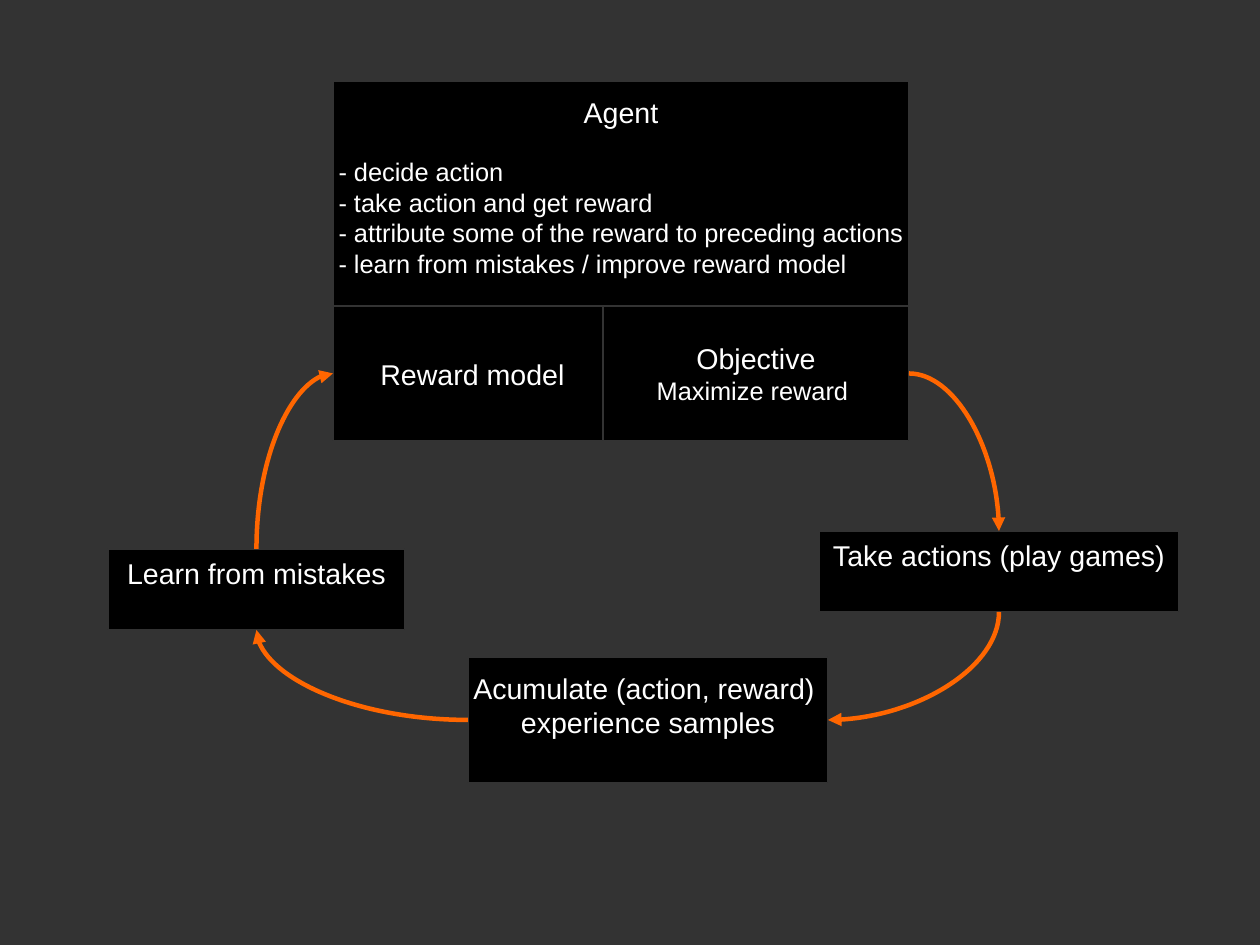
"""Build a slide showing the learning cycle of a reinforcement learning agent."""
import pptx
import pptx.dml.color
import pptx.enum.shapes
import pptx.enum.text
import pptx.oxml
import pptx.oxml.ns
import pptx.util

PX = 8000
PAGE_SIZE = (1260, 945)
FONT = "Arial"
BACKGROUND = pptx.dml.color.RGBColor(0x33, 0x33, 0x33)
BOX_FILL = pptx.dml.color.RGBColor(0x00, 0x00, 0x00)
TEXT_COLOR = pptx.dml.color.RGBColor(0xFF, 0xFF, 0xFF)
ARROW_COLOR = pptx.dml.color.RGBColor(0xFF, 0x66, 0x00)
TITLE_SIZE, DETAIL_SIZE = 18, 16
LIST_GAP = 27
ARROW_WIDTH = 2.83

CENTER = pptx.enum.text.PP_ALIGN.CENTER
LEFT = pptx.enum.text.PP_ALIGN.LEFT
TOP = pptx.enum.text.MSO_ANCHOR.TOP
MIDDLE = pptx.enum.text.MSO_ANCHOR.MIDDLE

# name: (left, top, width, height), anchor, top inset, title lines, detail lines, detail alignment
BOXES = {
    "agent": ((333, 81, 576, 261), TOP, 14, ["Agent"], [
        "- decide action",
        "- take action and get reward",
        "- attribute some of the reward to preceding actions",
        "- learn from mistakes / improve reward model",
    ], LEFT),
    "reward model": ((333, 306, 279, 135), MIDDLE, 6, ["Reward model"], [], CENTER),
    "objective": ((603, 306, 306, 135), MIDDLE, 6, ["Objective"], ["Maximize reward "], CENTER),
    "actions": ((819, 531, 360, 81), TOP, 7, ["Take actions (play games)"], [], CENTER),
    "learning": ((108, 549, 297, 81), TOP, 7, ["Learn from mistakes"], [], CENTER),
    "samples": ((468, 657, 360, 126), TOP, 14,
                ["Acumulate (action, reward) ", "experience samples"], [], CENTER),
}
ARROWS = [
    ("objective", "right", "actions", "top"),
    ("actions", "bottom", "samples", "right"),
    ("samples", "left", "learning", "bottom"),
    ("learning", "top", "reward model", "left"),
]
SIDES = {"left": (0, 0.5), "right": (1, 0.5), "top": (0.5, 0), "bottom": (0.5, 1)}


def add_box(page, frame, anchor, inset, titles, details, detail_align):
    """Add one black box with its title and detail lines."""
    box = page.shapes.add_shape(pptx.enum.shapes.MSO_SHAPE.RECTANGLE, *(n * PX for n in frame))
    box.shadow.inherit = False
    box.fill.solid()
    box.fill.fore_color.rgb = BOX_FILL
    box.line.color.rgb = BACKGROUND
    box.line.width = pptx.util.Pt(0)
    text = box.text_frame
    text.word_wrap = False
    text.vertical_anchor = anchor
    text.margin_top = inset * PX
    lines = [(line, TITLE_SIZE, CENTER) for line in titles]
    lines += [(line, DETAIL_SIZE, detail_align) for line in details]
    for index, (line, size, align) in enumerate(lines):
        para = text.paragraphs[0] if index == 0 else text.add_paragraph()
        para.alignment = align
        if align == LEFT and index == len(titles):
            para.space_before = pptx.util.Emu(LIST_GAP * PX)
        span = para.add_run()
        span.text = line
        span.font.name = FONT
        span.font.size = pptx.util.Pt(size)
        span.font.color.rgb = TEXT_COLOR


def side_point(name, side):
    """Return the middle of one side of a box, in px."""
    left, top, width, height = BOXES[name][0]
    across, down = SIDES[side]
    return left + across * width, top + down * height


def add_arrow(page, source, source_side, target, target_side):
    """Add a quarter-turn arrow; one that leaves vertically is a rotated one."""
    x1, y1 = side_point(source, source_side)
    x2, y2 = side_point(target, target_side)
    vertical = source_side in ("top", "bottom")
    dx, dy = (y2 - y1, x1 - x2) if vertical else (x2 - x1, y2 - y1)
    mid_x, mid_y = (x1 + x2) / 2, (y1 + y2) / 2
    ends = (mid_x - dx / 2, mid_y - dy / 2, mid_x + dx / 2, mid_y + dy / 2)
    arrow = page.shapes.add_connector(
        pptx.enum.shapes.MSO_CONNECTOR.CURVE, *(round(n * PX) for n in ends))
    arrow.line.color.rgb = ARROW_COLOR
    arrow.line.width = pptx.util.Pt(ARROW_WIDTH)
    properties = arrow.element.spPr
    properties.find(pptx.oxml.ns.qn("a:prstGeom")).set("prst", "curvedConnector2")
    if vertical:
        properties.find(pptx.oxml.ns.qn("a:xfrm")).set("rot", "5400000")
    namespace = pptx.oxml.ns.nsdecls("a")
    line = properties.find(pptx.oxml.ns.qn("a:ln"))
    line.append(pptx.oxml.parse_xml(f'<a:tailEnd {namespace} type="triangle"/>'))
    properties.append(pptx.oxml.parse_xml(f"<a:effectLst {namespace}/>"))


def main():
    """Draw the boxes and arrows and save the deck."""
    deck = pptx.Presentation()
    deck.slide_width, deck.slide_height = (n * PX for n in PAGE_SIZE)
    page = deck.slides.add_slide(deck.slide_layouts[6])
    page.background.fill.solid()
    page.background.fill.fore_color.rgb = BACKGROUND
    for box in BOXES.values():
        add_box(page, *box)
    for arrow in ARROWS:
        add_arrow(page, *arrow)
    deck.save("out.pptx")


if __name__ == "__main__":
    main()
